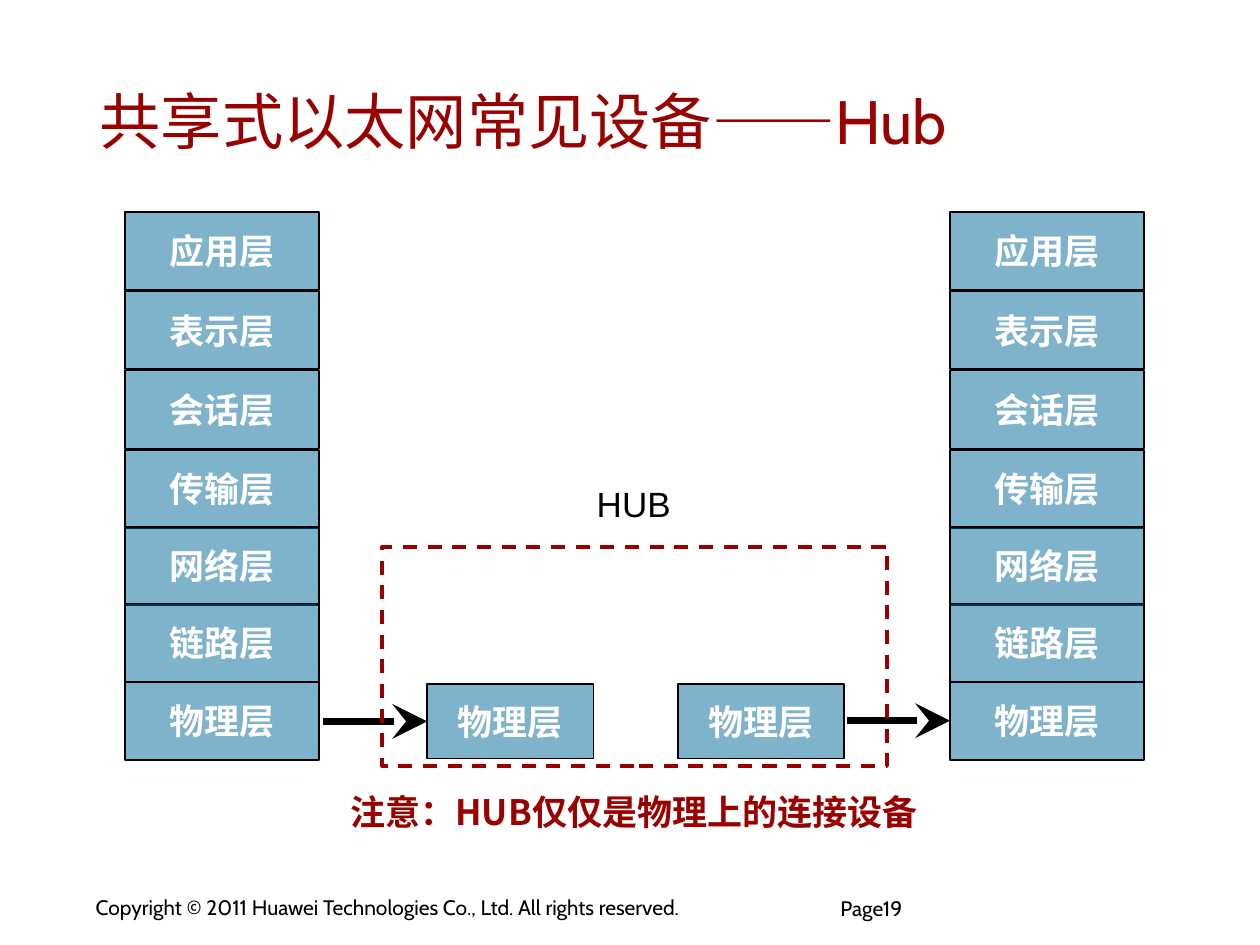
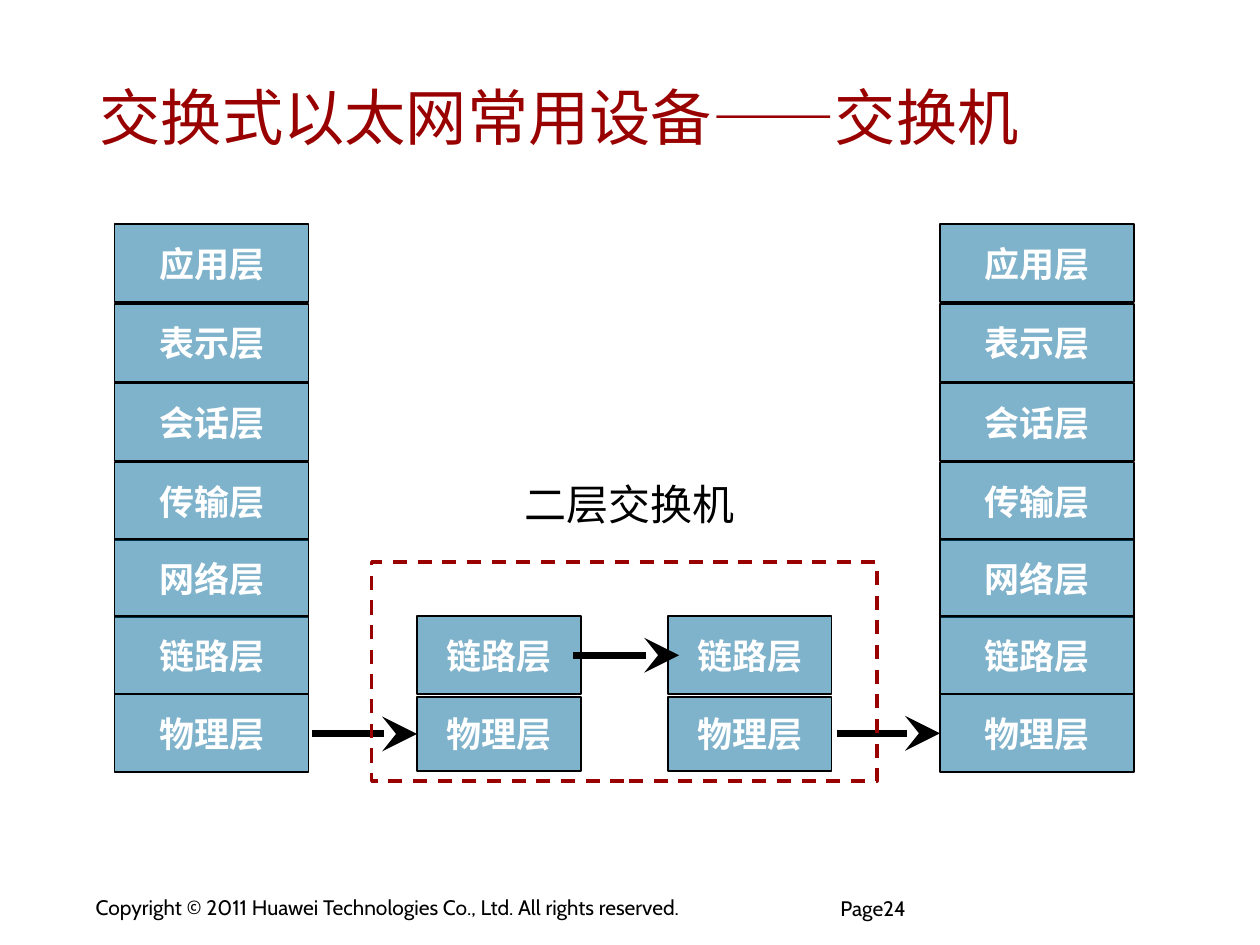
from dataclasses import dataclass

from lxml.etree import SubElement
from pptx import Presentation
from pptx.dml.color import RGBColor
from pptx.enum.dml import MSO_LINE
from pptx.enum.shapes import MSO_CONNECTOR, MSO_SHAPE
from pptx.enum.text import MSO_ANCHOR, PP_ALIGN
from pptx.oxml.ns import qn
from pptx.util import Inches, Pt


@dataclass(frozen=True)
class Theme:
    red: RGBColor = RGBColor(0x99, 0x00, 0x00)
    blue: RGBColor = RGBColor(0x00, 0x66, 0x99)
    black: RGBColor = RGBColor(0x00, 0x00, 0x00)
    white: RGBColor = RGBColor(0xFF, 0xFF, 0xFF)
    latin: str = "Cabin"
    chinese: str = "Noto Sans CJK SC"
    plain: str = "Arial"
    title_size: int = 35
    switch_size: int = 24
    body_size: int = 20
    footer_size: int = 12


theme = Theme()
presentation = Presentation()
presentation.slide_width = Inches(10)
presentation.slide_height = Inches(7.5)
column = presentation.slide_width / 100
row = presentation.slide_height / 75


def write(shape, text, size, color, font, bold=False, align=PP_ALIGN.LEFT,
          anchor=MSO_ANCHOR.TOP, margins=(0, 0)):
    frame = shape.text_frame
    frame.word_wrap = True
    frame.vertical_anchor = anchor
    frame.margin_left = frame.margin_right = int(margins[0] * column)
    frame.margin_top = frame.margin_bottom = int(margins[1] * row)
    frame.text = text
    paragraph = frame.paragraphs[0]
    paragraph.alignment = align
    run = paragraph.runs[0]
    run.font.size = Pt(size)
    run.font.bold = bold
    run.font.color.rgb = color
    run.font.name = font
    SubElement(run._r.get_or_add_rPr(), qn("a:ea"), typeface=theme.chinese)
    return paragraph


def place(left, top, width, height):
    return [int(value) for value in
            (left * column, top * row, width * column, height * row)]


layers = ["应用层", "表示层", "会话层", "传输层", "网络层", "链路层", "物理层"]
layer_rows = [0, 6.3, 12.6, 18.9, 25, 31.1, 37.3]
layer_width, layer_height = 15.4, 6.2
host_columns = {"sender": 0, "receiver": 65.5}
port_columns = {"input": 24, "output": 43.9}
arrow_length = 8.4

devices = [
    dict(title="共享式以太网常见设备——Hub", title_top=5.2, page="Page19",
         left=9.9, top=16.8, frame_top=43.4, port_width=13.2, port_layers=["物理层"],
         label="HUB", label_box=(45.3, 38.3, 10, 3.3),
         label_size=theme.body_size, label_font=theme.plain,
         note="注意：HUB仅仅是物理上的连接设备"),
    dict(title="交换式以太网常用设备——交换机", title_top=4.9, page="Page24",
         left=9.1, top=17.8, frame_top=44.6, port_width=13, port_layers=["物理层", "链路层"],
         label="二层交换机", label_box=(41.3, 38, 17.3, 4),
         label_size=theme.switch_size, label_font=theme.latin, note=None),
]

for device in devices:
    slide = presentation.slides.add_slide(presentation.slide_layouts[6])
    shapes = slide.shapes
    left, top = device["left"], device["top"]

    write(shapes.add_textbox(*place(6.7, 70.6, 55.7, 2.9)),
          "Copyright © 2011 Huawei Technologies Co., Ltd. All rights reserved.",
          theme.footer_size, theme.black, theme.latin, margins=(0.9, 0.4))
    page = write(shapes.add_textbox(*place(66.7, 71.4, 16.6, 3.6)), device["page"],
                 theme.footer_size, theme.black, theme.latin)
    page.line_spacing = 0.85
    write(shapes.add_textbox(*place(7, device["title_top"], 84.4, 8.6)), device["title"],
          theme.title_size, theme.red, theme.latin,
          anchor=MSO_ANCHOR.MIDDLE, margins=(0.9, 0.4))
    write(shapes.add_textbox(*place(*device["label_box"])), device["label"],
          device["label_size"], theme.black, device["label_font"], align=PP_ALIGN.CENTER)
    if device["note"]:
        write(shapes.add_textbox(*place(27.8, 62.7, 48.2, 3.3)), device["note"],
              theme.body_size, theme.red, theme.chinese, bold=True)

    boxes = [(host, layer, offset, layer_rows[index], layer_width, layer_height)
             for host, offset in host_columns.items()
             for index, layer in enumerate(layers)]
    for port, offset in port_columns.items():
        for layer in device["port_layers"]:
            physical = layer == "物理层"
            boxes.append((port, layer, offset,
                          37.5 if physical else layer_rows[layers.index(layer)],
                          device["port_width"], 5.9 if physical else layer_height))

    drawn = {}
    for owner, layer, offset, drop, width, height in boxes:
        box = shapes.add_shape(MSO_SHAPE.RECTANGLE,
                               *place(left + offset, top + drop, width, height))
        box.shadow.inherit = False
        box.fill.solid()
        box.fill.fore_color.rgb = theme.blue
        fill_color = box.fill._xPr.find(qn("a:solidFill"))[0]
        SubElement(fill_color, qn("a:alpha"), val="50000")
        box.line.color.rgb = theme.black
        box.line.width = Pt(1)
        write(box, layer, theme.body_size, theme.white, theme.chinese, bold=True,
              align=PP_ALIGN.CENTER, anchor=MSO_ANCHOR.MIDDLE)
        drawn[owner, layer] = box

    arrows = [(15.7, drawn["input", "物理层"], True),
              (57.3, drawn["receiver", "物理层"], True)]
    if "链路层" in device["port_layers"]:
        arrows.append((36.4, drawn["output", "链路层"], False))
    for offset, target, joined in arrows:
        start = int((left + offset) * column)
        middle = target.top + target.height // 2
        arrow = shapes.add_connector(MSO_CONNECTOR.STRAIGHT, start, middle,
                                     start + int(arrow_length * column), middle)
        if joined:
            arrow.end_connect(target, 1)
        arrow.line.color.rgb = theme.black
        arrow.line.width = Pt(4)
        SubElement(arrow.line._get_or_add_ln(), qn("a:tailEnd"),
                   type="stealth", w="lg", len="lg")
        SubElement(arrow._element.spPr, qn("a:effectLst"))

    frame = shapes.add_shape(MSO_SHAPE.RECTANGLE,
                             *place(left + 20.4, device["frame_top"], 40.1, 17.4))
    frame.shadow.inherit = False
    frame.fill.background()
    frame.line.color.rgb = theme.red
    frame.line.width = Pt(2)
    frame.line.dash_style = MSO_LINE.DASH

presentation.save("out.pptx")
